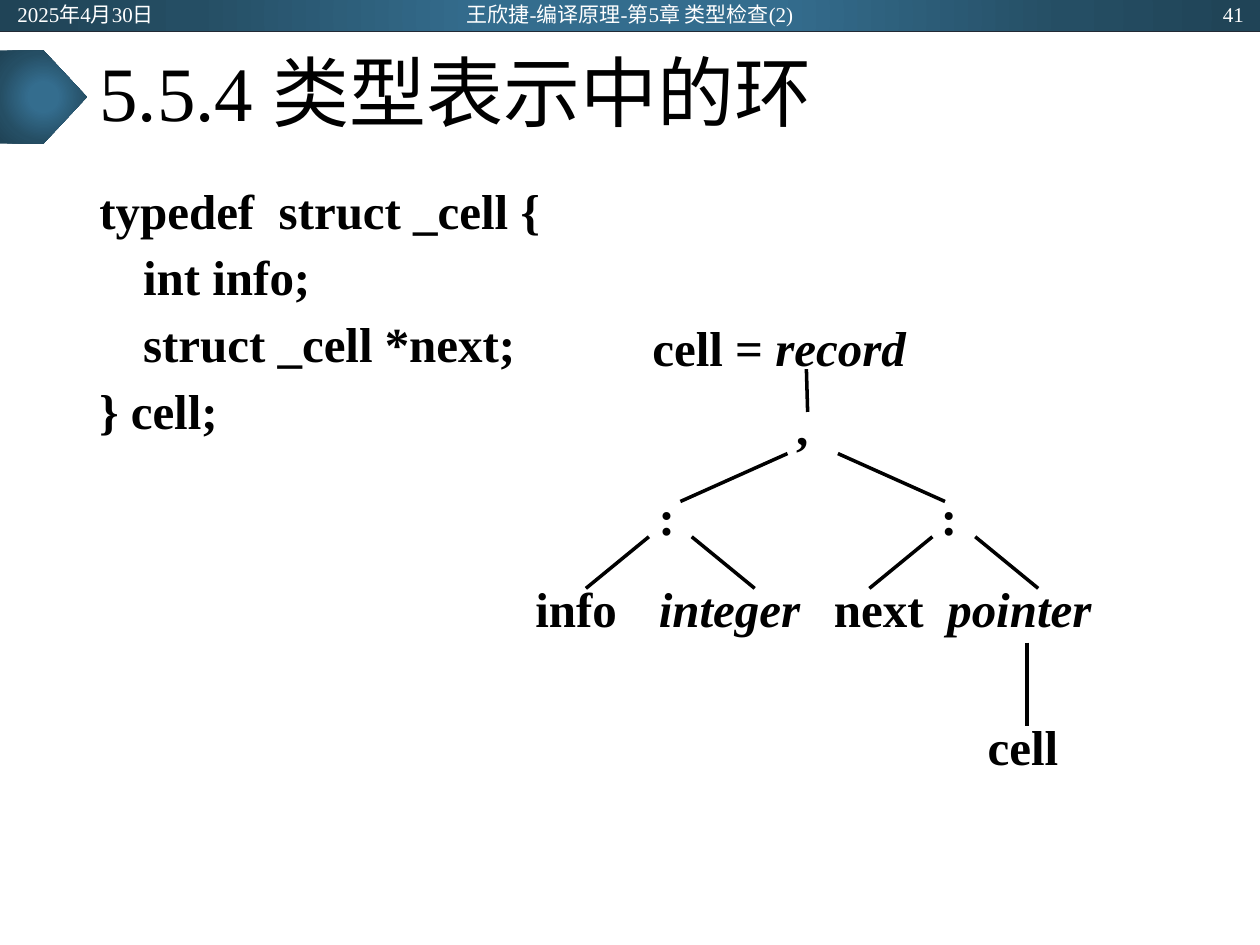
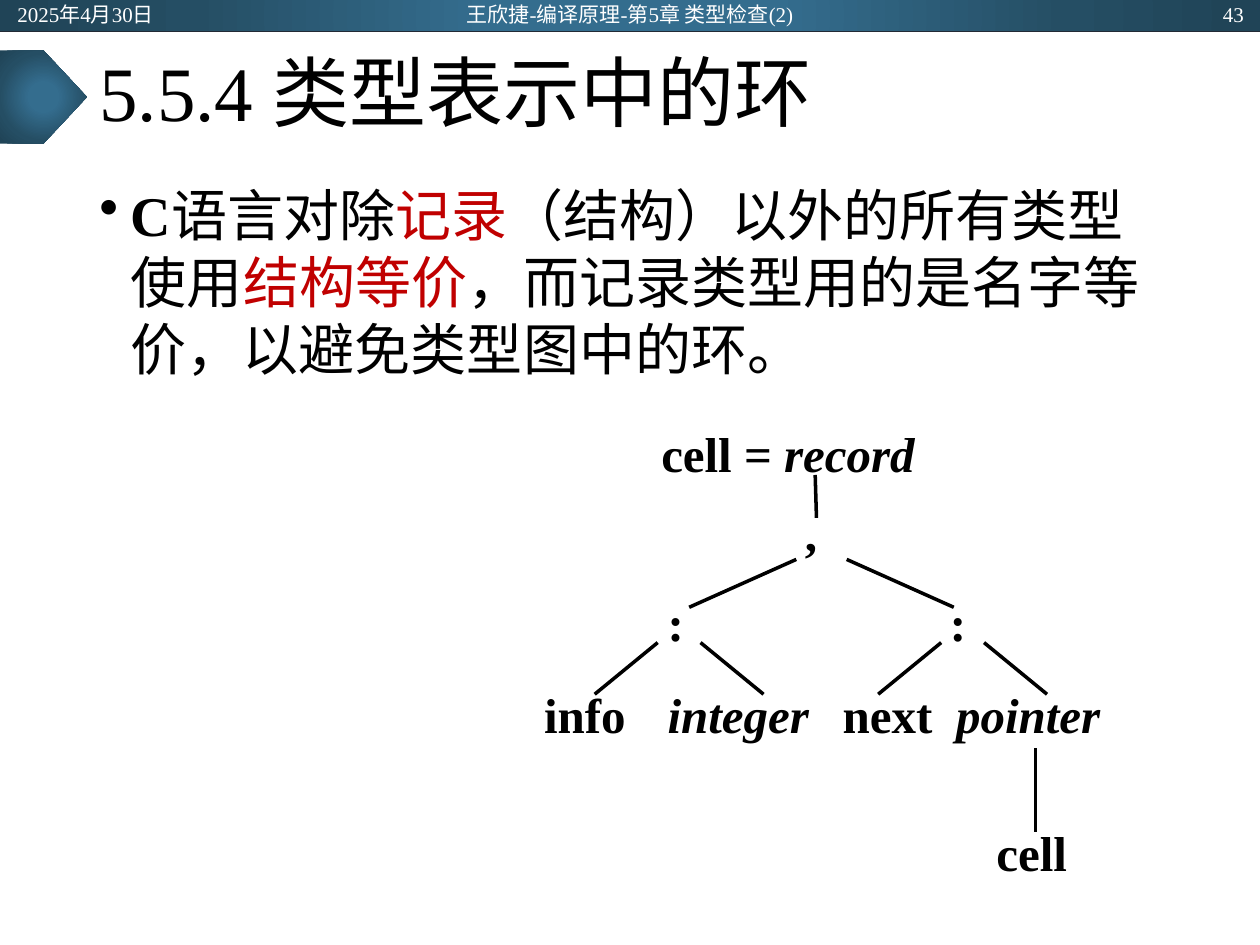
from lxml import etree
from pptx import Presentation
from pptx.dml.color import RGBColor
from pptx.enum.shapes import MSO_CONNECTOR, MSO_SHAPE
from pptx.enum.text import MSO_ANCHOR, PP_ALIGN
from pptx.oxml import parse_xml
from pptx.oxml.ns import qn
from pptx.util import Inches, Pt

LEFT, CENTER, RIGHT, JUSTIFY = PP_ALIGN.LEFT, PP_ALIGN.CENTER, PP_ALIGN.RIGHT, PP_ALIGN.JUSTIFY
TOP, MIDDLE = MSO_ANCHOR.TOP, MSO_ANCHOR.MIDDLE
STRAIGHT = MSO_CONNECTOR.STRAIGHT
RECTANGLE, PENTAGON = MSO_SHAPE.RECTANGLE, MSO_SHAPE.PENTAGON

COLORS = {"ink": "000000", "accent": "C00000", "white": "FFFFFF", "rule": "222A35",
          "glow": "346D8E", "mid": "254E64", "edge": "204457"}
GLOW_STOPS = ((0, "glow"), (23, "glow"), (69, "mid"), (97, "edge"))
SERIF, HAN = "Times New Roman", "Noto Sans CJK SC"
DRAWING_NS = "http://schemas.openxmlformats.org/drawingml/2006/main"

TITLE = "5.5.4 类型表示中的环"
DATE = "2025年4月30日"
COURSE = "王欣捷-编译原理-第5章 类型检查(2)"
TITLE_BOX = (0.69, 0.25, 8.62, 1.04)
BODY_BOX = (0.69, 1.38, 8.62, 5.38)
CODE = ("typedef  struct _cell {", "\t int info;", "\t struct _cell *next;", "} cell;")
EQUIVALENCE = (("C", SERIF, "ink"), ("语言对除", HAN, "ink"), ("记录", HAN, "accent"),
               ("（结构）以外的所有类型使用", HAN, "ink"), ("结构等价", HAN, "accent"),
               ("，而记录类型用的是名字等价，以避免类型图中的环。", HAN, "ink"))

TREE_LABELS = (
    (0.93, 0, 2.3, (("cell = ", False), ("record", True))),
    (2.07, 0.63, 0.7, ((",", False),)),
    (0.98, 1.34, 0.7, ((":", False),)),
    (3.22, 1.34, 0.7, ((":", False),)),
    (0, 2.07, 1, (("info", False),)),
    (0.98, 2.07, 1.35, (("integer", True),)),
    (2.37, 2.07, 1, (("next", False),)),
    (3.27, 2.07, 1.82, (("pointer", True),)),
    (3.59, 3.17, 0.91, (("cell", False),)),
)
FIELD_CENTERS = (1.17, 3.42)


def rgb(name):
    """Return the palette colour of that name."""
    return RGBColor.from_string(COLORS[name])


def add_text_frame(shapes, box, anchor=TOP, margins=(0.1, 0.05, 0.1, 0.05)):
    """Add a wrapping text box and return its text frame."""
    frame = shapes.add_textbox(*map(Inches, box)).text_frame
    frame.word_wrap = True
    frame.vertical_anchor = anchor
    (frame.margin_left, frame.margin_top,
     frame.margin_right, frame.margin_bottom) = map(Inches, margins)
    return frame


def add_run(paragraph, text, size, color="ink", font=SERIF, bold=False, italic=False):
    """Append one run with its Latin and East Asian fonts."""
    run = paragraph.add_run()
    run.text = text
    run.font.size = Pt(size)
    run.font.name = font
    run.font.bold = bold
    run.font.italic = italic
    run.font.color.rgb = rgb(color)
    latin = run.font._element.find(qn("a:latin"))
    east_asian = etree.Element(qn("a:ea"), typeface=HAN)
    latin.addnext(east_asian)


def hang(paragraph):
    """Give a paragraph the hanging indent of the body."""
    properties = paragraph._p.get_or_add_pPr()
    properties.set("marL", str(Inches(0.25)))
    properties.set("indent", str(Inches(-0.25)))
    return properties


def add_glowing_shape(slide, preset, box):
    """Add a borderless shape with the radial theme gradient."""
    shape = slide.shapes.add_shape(preset, *map(Inches, box))
    shape.shadow.inherit = False
    shape.line.fill.background()
    stops = "".join(f'<a:gs pos="{position * 1000}"><a:srgbClr val="{COLORS[name]}"/></a:gs>'
                    for position, name in GLOW_STOPS)
    gradient = parse_xml(
        f'<a:gradFill xmlns:a="{DRAWING_NS}" rotWithShape="1"><a:gsLst>{stops}</a:gsLst>'
        '<a:path path="circle"><a:fillToRect l="50000" t="50000" r="50000" b="50000"/></a:path>'
        '</a:gradFill>')
    shape._element.spPr.find(qn("a:prstGeom")).addnext(gradient)


def add_line(shapes, start, end, color="ink", width=2):
    """Draw a straight line without a shadow."""
    line = shapes.add_connector(STRAIGHT, *map(Inches, (*start, *end)))
    line.line.color.rgb = rgb(color)
    line.line.width = Pt(width)
    etree.SubElement(line._element.spPr, qn("a:effectLst"))


def add_header(slide, number):
    """Draw the top band with date, course and slide number."""
    add_glowing_shape(slide, RECTANGLE, (0, 0, 10, 0.25))
    add_line(slide.shapes, (0, 0.25), (10, 0.25), "rule", 0.5)
    for left, width, text, alignment in ((0.04, 2.25, DATE, LEFT),
                                         (3.31, 3.38, COURSE, CENTER),
                                         (7.72, 2.25, str(number), RIGHT)):
        paragraph = add_text_frame(slide.shapes, (left, 0.01, width, 0.2), MIDDLE).paragraphs[0]
        paragraph.alignment = alignment
        add_run(paragraph, text, 12, "white")


def add_title(slide):
    """Draw the title and the pentagon beside it."""
    add_glowing_shape(slide, PENTAGON, (0, 0.4, 0.69, 0.74))
    paragraph = add_text_frame(slide.shapes, TITLE_BOX, MIDDLE).paragraphs[0]
    paragraph.line_spacing = 0.9
    add_run(paragraph, TITLE, 44)


def add_code(slide, box):
    """Write the type definition line by line."""
    frame = add_text_frame(slide.shapes, box)
    for index, code_line in enumerate(CODE):
        paragraph = frame.add_paragraph() if index else frame.paragraphs[0]
        hang(paragraph)
        if index:
            paragraph.space_before = Pt(4.5)
        add_run(paragraph, code_line, 28, bold=True)


def add_equivalence(slide, box):
    """Write the bulleted statement on type equivalence."""
    paragraph = add_text_frame(slide.shapes, box).paragraphs[0]
    paragraph.line_spacing = Pt(38.4)
    etree.SubElement(hang(paragraph), qn("a:buChar"), char="•")
    for text, font, color in EQUIVALENCE:
        add_run(paragraph, text, 32, color, font, bold=font == SERIF)


def add_type_tree(slide, left, top):
    """Draw the type tree of the cell record from its top left corner."""
    tree = slide.shapes.add_group_shape().shapes
    for x, y, width, parts in TREE_LABELS:
        frame = add_text_frame(tree, (left + x, top + y, width, 0.43),
                               margins=(0.1, 0.01, 0.02, 0.01))
        frame.paragraphs[0].alignment = JUSTIFY
        for text, italic in parts:
            add_run(frame.paragraphs[0], text, 28, bold=True, italic=italic)
    branches = [(2.25, 0.42, 2.26, 0.76), (4, 2.59, 4, 3.25)]
    for side in (-1, 1):
        branches.append((2.3 + side * 0.2, 1.09, 2.3 + side * 1.05, 1.47))
        branches += [(center + side * 0.17, 1.75, center + side * 0.67, 2.16)
                     for center in FIELD_CENTERS]
    for x1, y1, x2, y2 in branches:
        add_line(tree, (left + x1, top + y1), (left + x2, top + y2))


def add_base_slide(deck, number):
    """Add a slide with the shared header and title."""
    slide = deck.slides.add_slide(deck.slide_layouts[6])
    add_header(slide, number)
    add_title(slide)
    return slide


def main():
    """Build and save the deck."""
    deck = Presentation()
    deck.slide_width, deck.slide_height = Inches(10), Inches(7.5)
    definition = add_base_slide(deck, 41)
    add_code(definition, BODY_BOX)
    add_type_tree(definition, 4.15, 2.51)
    equivalence = add_base_slide(deck, 43)
    add_equivalence(equivalence, BODY_BOX)
    add_type_tree(equivalence, 4.22, 3.35)
    deck.save("out.pptx")


if __name__ == "__main__":
    main()
